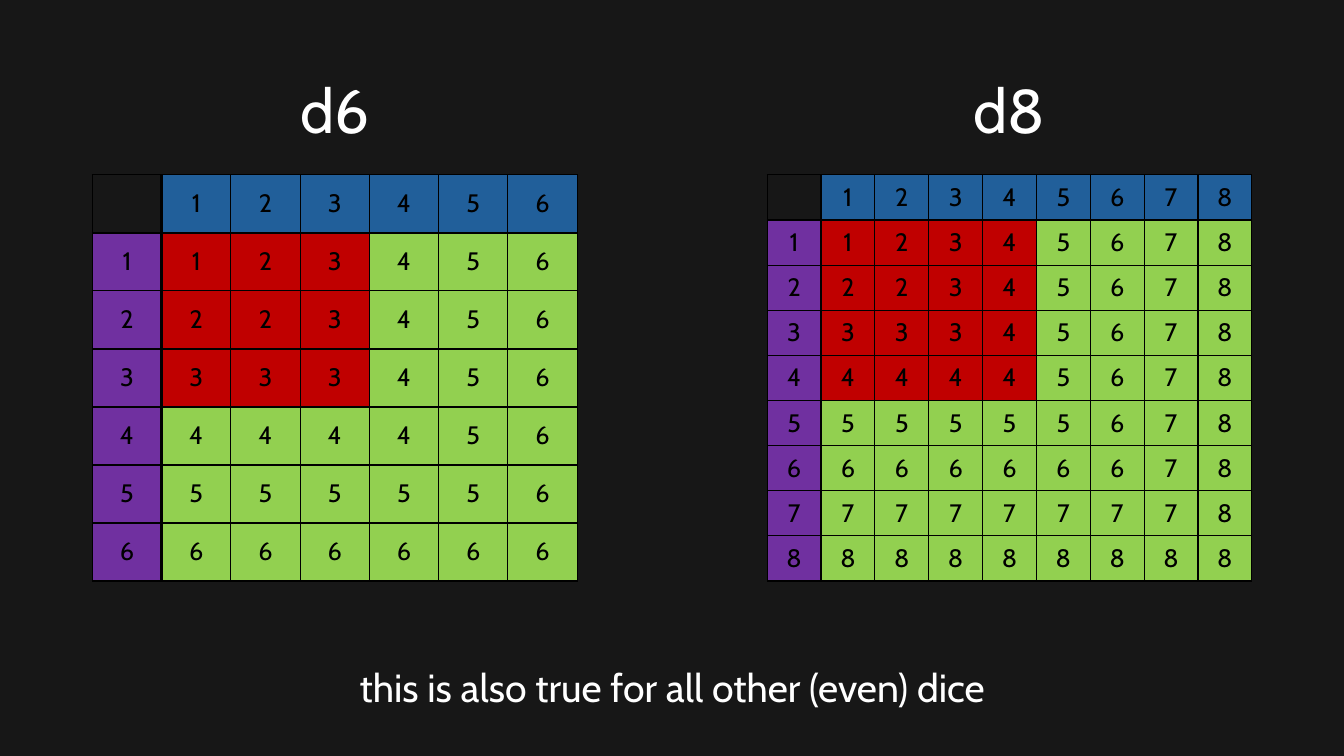
import pptx
import pptx.util
import pptx.dml.color
import pptx.enum.text
import pptx.oxml
import pptx.oxml.ns
from pptx.util import Pt

FONT = "Cabin"
BACKGROUND, WHITE, BLACK = "171717", "FFFFFF", "000000"
COLUMN_DIE, ROW_DIE = "215F9A", "7030A0"
LOW, HIGH = "C00000", "92D050"
TABLE_TOP, TABLE_WIDTH, TABLE_HEIGHT = 124.9, 346.3, 290.2
TITLE_TOP, TITLE_HEIGHT = 28.8, 104.4
THIN, THICK = 1, 2.25


def color(hex_string):
    return pptx.dml.color.RGBColor.from_string(hex_string)


def write_text(text_frame, text, size, hex_string, line_spacing=None):
    text_frame.text = text
    paragraph = text_frame.paragraphs[0]
    paragraph.alignment = pptx.enum.text.PP_ALIGN.CENTER
    if line_spacing:
        paragraph.line_spacing = line_spacing
    font = paragraph.runs[0].font
    font.name = FONT
    font.size = Pt(size)
    font.color.rgb = color(hex_string)


def format_label(shape, text, box, size, line_spacing=None):
    shape.left, shape.top, shape.width, shape.height = map(Pt, box)
    text_frame = shape.text_frame
    text_frame.word_wrap = True
    text_frame.auto_size = pptx.enum.text.MSO_AUTO_SIZE.NONE
    text_frame.vertical_anchor = pptx.enum.text.MSO_ANCHOR.MIDDLE
    write_text(text_frame, text, size, WHITE, line_spacing)


def add_label(slide, text, box, size, line_spacing=None):
    shape = slide.shapes.add_textbox(*map(Pt, box))
    format_label(shape, text, box, size, line_spacing)


def set_borders(cell, row, column):
    """Black lines, thicker between the headers and the results."""
    widths = {
        "L": THICK if column == 1 else THIN,
        "R": THICK if column == 0 else THIN,
        "T": THICK if row == 1 else THIN,
        "B": THICK if row == 0 else THIN,
    }
    properties = cell._tc.get_or_add_tcPr()
    for position, (side, width) in enumerate(widths.items()):
        line = pptx.oxml.parse_xml(
            f'<a:ln{side} {pptx.oxml.ns.nsdecls("a")} w="{Pt(width)}">'
            f'<a:solidFill><a:srgbClr val="{BLACK}"/></a:solidFill></a:ln{side}>'
        )
        properties.insert(position, line)


def cell_color(row, column, sides):
    if row == 0:
        return COLUMN_DIE
    if column == 0:
        return ROW_DIE
    return LOW if max(row, column) <= sides // 2 else HIGH


def add_dice_table(slide, sides, left):
    count = sides + 1
    frame = slide.shapes.add_table(
        count, count, Pt(left), Pt(TABLE_TOP), Pt(TABLE_WIDTH), Pt(TABLE_HEIGHT)
    )
    table = frame.table
    table.first_row = table.horz_banding = False
    for column in table.columns:
        column.width = Pt(TABLE_WIDTH / count)
    for row in table.rows:
        row.height = Pt(TABLE_HEIGHT / count)

    # Each result is the higher of the two rolls
    for row in range(count):
        for column in range(count):
            cell = table.cell(row, column)
            cell.vertical_anchor = pptx.enum.text.MSO_ANCHOR.MIDDLE
            if row == column == 0:
                cell.fill.background()
            else:
                cell.fill.solid()
                cell.fill.fore_color.rgb = color(cell_color(row, column, sides))
                write_text(cell.text_frame, str(max(row, column)), 18, BLACK)
            set_borders(cell, row, column)


def main():
    presentation = pptx.Presentation()
    presentation.slide_width, presentation.slide_height = Pt(960), Pt(540)
    slide = presentation.slides.add_slide(presentation.slide_layouts[5])
    slide.background.fill.solid()
    slide.background.fill.fore_color.rgb = color(BACKGROUND)

    # Six-sided dice on the left
    d6_left, d8_left = 66, 548
    d6_box = (d6_left, TITLE_TOP, TABLE_WIDTH, TITLE_HEIGHT)
    format_label(slide.shapes.title, "d6", d6_box, 44, 0.9)
    add_dice_table(slide, 6, d6_left)

    # Eight-sided dice on the right
    d8_box = (d8_left, TITLE_TOP, TABLE_WIDTH, TITLE_HEIGHT)
    add_label(slide, "d8", d8_box, 44, 0.9)
    add_dice_table(slide, 8, d8_left)

    # Conclusion
    conclusion = "this is also true for all other (even) dice"
    add_label(slide, conclusion, (110, 470.2, 740, 41), 28)

    presentation.save("out.pptx")


if __name__ == "__main__":
    main()
